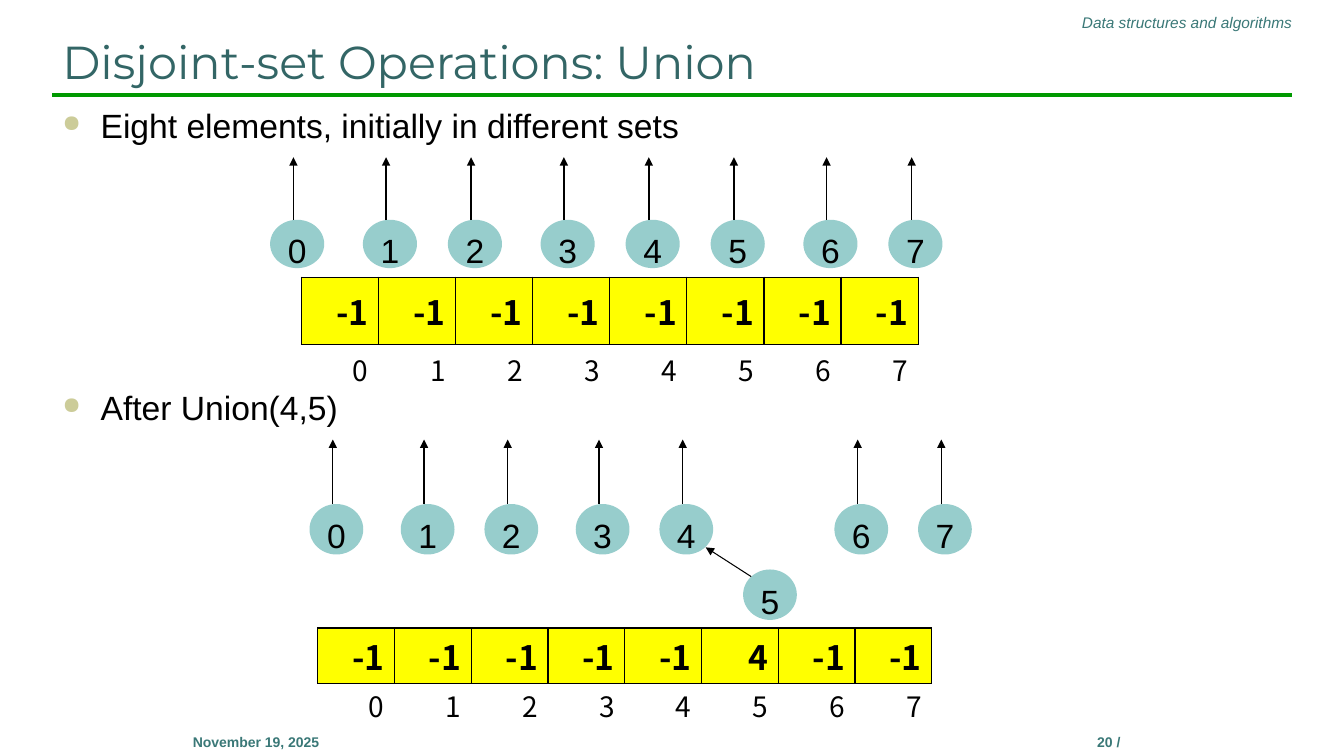
from lxml import etree
from pptx import Presentation
from pptx import util as u
from pptx.dml.color import RGBColor
from pptx.enum import shapes, text
from pptx.oxml.ns import qn

# Colours
BLACK = RGBColor(0x00, 0x00, 0x00)
GREEN = RGBColor(0x00, 0x99, 0x00)
TEAL = RGBColor(0x33, 0x66, 0x66)
SEA = RGBColor(0x3A, 0x78, 0x77)
AQUA = RGBColor(0x97, 0xCD, 0xCC)
YELLOW = RGBColor(0xFF, 0xFF, 0x00)
SAND = RGBColor(0xCC, 0xCC, 0x99)

LEFT, MID, RIGHT = text.PP_ALIGN.LEFT, text.PP_ALIGN.CENTER, text.PP_ALIGN.RIGHT
WIDE, HIGH = u.Inches(13.33), u.Inches(7.5)
CJK = "Noto Sans CJK SC"
NODES = (0, 12, 23, 35, 46, 57, 69, 80)  # node places, in forest steps


# Grid: shares of the slide in percent
def col(share):
    return round(WIDE * share / 100)


def row(share):
    return round(HIGH * share / 100)


def area(x, y, w, h):
    return col(x), row(y), col(w), row(h)


def add(node, tag, **attrs):
    return etree.SubElement(node, qn(tag), attrs)


def write(para, words, size=24, font="Arial", color=BLACK, bold=False,
          ital=False, align=LEFT, before=0):
    para.alignment = align
    para.space_before = u.Pt(before)
    run = para.add_run()
    run.text = words
    face = run.font
    face.size, face.name, face.bold, face.italic = u.Pt(size), font, bold, ital
    face.color.rgb = color


def label(slide, box, words, anchor=text.MSO_ANCHOR.TOP, **fmt):
    frame = slide.shapes.add_textbox(*area(*box)).text_frame
    frame.word_wrap = True
    frame.vertical_anchor = anchor
    write(frame.paragraphs[0], words, **fmt)


def bullets(slide, box, items):
    frame = slide.shapes.add_textbox(*area(*box)).text_frame
    frame.word_wrap = True
    for n, (words, before) in enumerate(items):
        para = frame.add_paragraph() if n else frame.paragraphs[0]
        write(para, words, before=before)
        props = para._p.get_or_add_pPr()
        props.set("marL", str(u.Inches(0.38)))
        props.set("indent", str(-u.Inches(0.38)))
        add(add(props, "a:buClr"), "a:srgbClr", val=str(SAND))
        add(props, "a:buSzPct", val="70000")
        add(props, "a:buChar", char="●")


def line(slide, start, end, color=BLACK, width=1, arrow=True):
    link = slide.shapes.add_connector(
        shapes.MSO_CONNECTOR.STRAIGHT, col(start[0]), row(start[1]),
        col(end[0]), row(end[1]))
    link.line.color.rgb = color
    link.line.width = u.Pt(width)
    if arrow:
        add(link.line._get_or_add_ln(), "a:tailEnd", type="triangle")
    add(link._element.spPr, "a:effectLst")


def node(slide, box, words):
    disc = slide.shapes.add_shape(shapes.MSO_SHAPE.OVAL, *area(*box))
    disc.shadow.inherit = False
    disc.fill.solid()
    disc.fill.fore_color.rgb = AQUA
    disc.line.fill.background()
    frame = disc.text_frame
    frame.word_wrap = False
    frame.vertical_anchor = text.MSO_ANCHOR.MIDDLE
    frame.margin_left = frame.margin_right = frame.margin_bottom = 0
    frame.margin_top = u.Inches(0.12)
    write(frame.paragraphs[0], words, align=MID)


def forest(slide, x, y, step, size, rise, child=None, drop=0):
    """Draw the nodes; roots get an arrow upwards, a child sits lower."""
    for n, place in enumerate(NODES):
        left = x + place * step
        if n == child:
            node(slide, (left, y + drop, *size), str(n))
            continue
        node(slide, (left, y, *size), str(n))
        stem = left + 1.73
        line(slide, (stem, y), (stem, y - rise))


def border(cell, sides):
    props = cell._tc.get_or_add_tcPr()
    for n, side in enumerate("LRTB"):
        edge = etree.Element(qn("a:ln" + side), w=str(u.Pt(1)))
        if side in sides:
            add(add(edge, "a:solidFill"), "a:srgbClr", val=str(BLACK))
        else:
            add(edge, "a:noFill")
        props.insert(n, edge)


def array(slide, x, y, w, highs, values):
    """Draw the parent array, with its indexes in the second row."""
    grid = slide.shapes.add_table(
        2, len(values), *area(x, y, w, sum(highs))).table
    grid.first_row = grid.horz_banding = False
    for part, high in zip(grid.rows, highs):
        part.height = row(high)
    for n, value in enumerate(values):
        grid.columns[n].width = col(w / len(values))
        for r, words in enumerate((value, n)):
            cell = grid.cell(r, n)
            cell.margin_top = cell.margin_bottom = u.Inches(0.01)
            cell.vertical_anchor = text.MSO_ANCHOR.MIDDLE
            if r:
                cell.fill.background()
            else:
                cell.fill.solid()
                cell.fill.fore_color.rgb = YELLOW
            border(cell, "T" if r else "LRTB")
            write(cell.text_frame.paragraphs[0], str(words), font=CJK,
                  size=20 if r else 24, bold=not r, align=RIGHT)


def main():
    deck = Presentation()
    deck.slide_width, deck.slide_height = WIDE, HIGH
    slide = deck.slides.add_slide(deck.slide_layouts[6])

    # Header, footer and title
    line(slide, (3.9, 12.53), (96.1, 12.53), GREEN, 3, arrow=False)
    label(slide, (42.2, 1.07, 54.7, 3.87), "Data structures and algorithms",
          size=11, color=SEA, ital=True, align=RIGHT)
    for x, words in ((71.25, "20 /"), (7.8, "November 19, 2025")):
        label(slide, (x, 96.4, 22.5, 3.6), words,
              size=10, color=SEA, bold=True, align=MID)
    label(slide, (3.9, 3.07, 92.2, 9.33), "Disjoint-set Operations: Union",
          anchor=text.MSO_ANCHOR.BOTTOM, size=33, font="Montserrat", color=TEAL)
    bullets(slide, (3.9, 13.2, 92.2, 76),
            (("Eight elements, initially in different sets", 3),
             ("After Union(4,5)", 173)))

    # Eight separate sets
    forest(slide, 20.1, 29.07, 0.575, (4.03, 6.4), 8.27)
    array(slide, 22.43, 36.67, 45.9, (8.93, 6.4), [-1] * 8)

    # Sets after the union: 5 hangs under 4
    forest(slide, 23.03, 66.67, 0.566, (4, 6.67), 8.53, child=5, drop=8.66)
    line(slide, (55.89, 76.27), (52.51, 72.4), width=0.75)
    array(slide, 23.63, 83.07, 45.7, (7.33, 5.73), [-1] * 5 + [4, -1, -1])

    deck.save("out.pptx")


if __name__ == "__main__":
    main()
